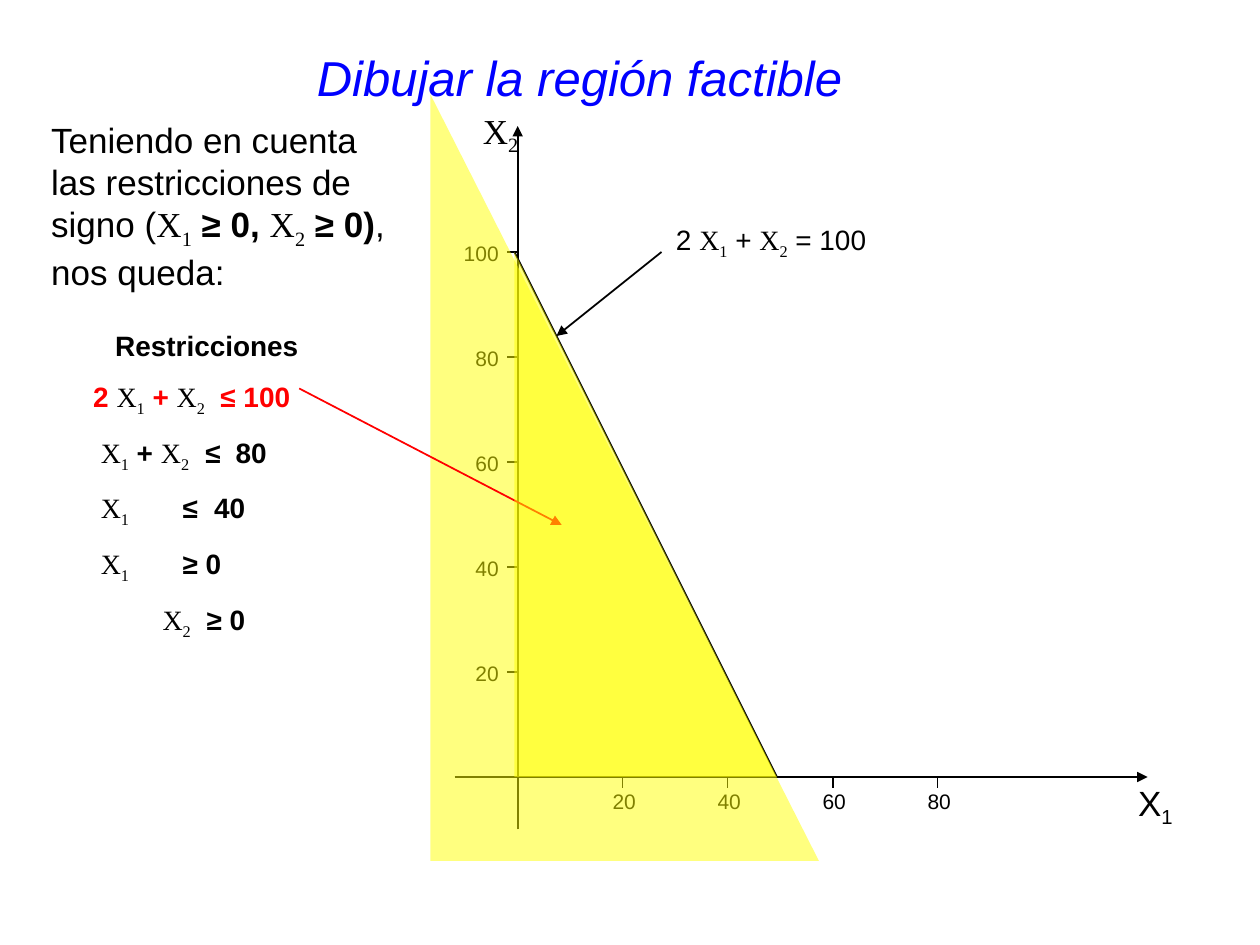
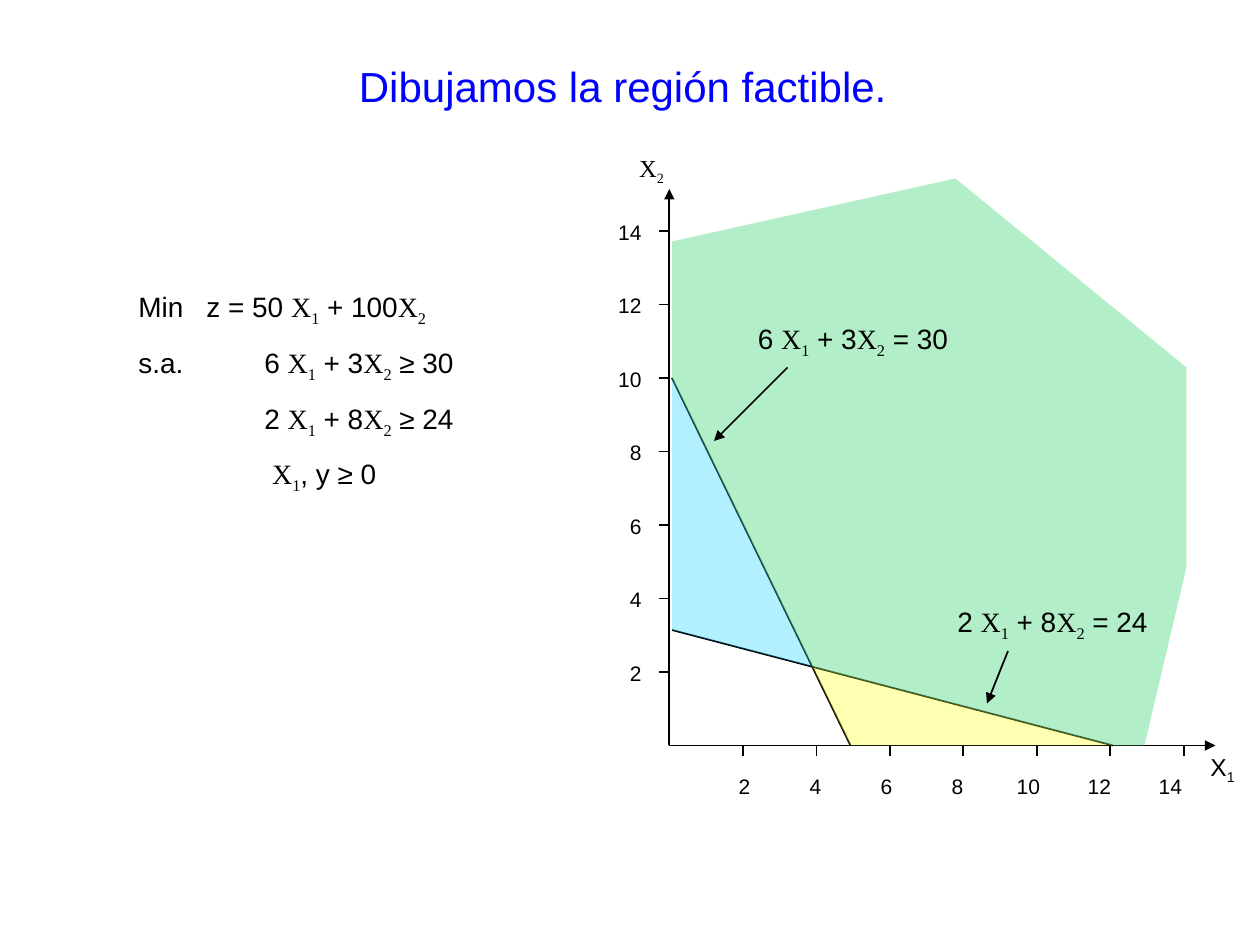
from dataclasses import dataclass

from lxml.etree import SubElement
from pptx import Presentation
from pptx.dml.color import RGBColor
from pptx.enum.shapes import MSO_CONNECTOR, MSO_SHAPE
from pptx.enum.text import MSO_ANCHOR as Anchor, PP_ALIGN as Align
from pptx.oxml.ns import qn
from pptx.util import Inches, Pt


@dataclass(frozen=True)
class Theme:
    text: str = "000000"
    title: str = "0000FF"
    accent: str = "FF0000"
    yellow: str = "FFFF00"
    cyan: str = "00CCFF"
    font: str = "Arial"
    variable_font: str = "Times New Roman"
    title_size: int = 28
    subtitle_size: int = 24
    body_size: int = 20
    formula_size: int = 16
    axis_name_size: int = 14
    tick_size: int = 12
    line_width: int = 1
    paragraph_gap: int = 10


THEME = Theme()
WIDTH, HEIGHT = Inches(10), Inches(7.5)
COLUMNS, ROWS = 120, 90


def across(columns):
    return round(WIDTH * columns / COLUMNS)


def down(rows):
    return round(HEIGHT * rows / ROWS)


def add_run(paragraph, text, size, color, font, bold=False, subscript=False):
    if not text:
        return
    run = paragraph.add_run()
    run.text = text
    run.font.size = Pt(size)
    run.font.name = font
    run.font.bold = bold
    run.font.color.rgb = RGBColor.from_string(color)
    if subscript:
        run.font._element.set("baseline", "-25000")


def write_formula(paragraph, formula, size, color, variable_font=THEME.variable_font):
    for index, segment in enumerate(formula.split("*")):
        bold = index % 2 == 1
        plain, *variables = segment.split("X")
        add_run(paragraph, plain, size, color, THEME.font, bold)
        for variable in variables:
            add_run(paragraph, "X", size, THEME.text, variable_font)
            add_run(paragraph, variable[0], size, THEME.text, variable_font, subscript=True)
            add_run(paragraph, variable[1:], size, color, THEME.font, bold)


def add_box(slide, left, top, width, height):
    shape = slide.shapes.add_textbox(across(left), down(top), across(width), down(height))
    shape.text_frame.word_wrap = True
    return shape.text_frame


def add_text(slide, box, formula, size, color=THEME.text, variable_font=THEME.variable_font):
    paragraph = add_box(slide, *box).paragraphs[0]
    write_formula(paragraph, formula, size, color, variable_font)
    return paragraph


def set_tabs(paragraph, stops):
    tab_list = SubElement(paragraph._p.get_or_add_pPr(), qn("a:tabLst"))
    for stop in stops:
        SubElement(tab_list, qn("a:tab"), pos=str(Inches(stop)), algn="l")


def add_formula_list(slide, box, lines):
    text_frame = add_box(slide, *box)
    for index, (formula, stops, color) in enumerate(lines):
        paragraph = text_frame.add_paragraph() if index else text_frame.paragraphs[0]
        if index:
            paragraph.space_before = Pt(THEME.paragraph_gap)
        if stops:
            set_tabs(paragraph, stops)
        write_formula(paragraph, formula, THEME.formula_size, color)
    return text_frame


def add_line(slide, start, end, color=THEME.text, arrow=False):
    line = slide.shapes.add_connector(
        MSO_CONNECTOR.STRAIGHT, across(start[0]), down(start[1]), across(end[0]), down(end[1]))
    line.line.width = Pt(THEME.line_width)
    line.line.color.rgb = RGBColor.from_string(color)
    if arrow:
        SubElement(line.line._get_or_add_ln(), qn("a:tailEnd"), type="triangle")
    SubElement(line._element.spPr, qn("a:effectLst"))


def fill_region(shape, color, opacity):
    shape.shadow.inherit = False
    shape.line.fill.background()
    shape.fill.solid()
    shape.fill.fore_color.rgb = RGBColor.from_string(color)
    solid_color = shape._element.spPr.find(qn("a:solidFill"))[0]
    SubElement(solid_color, qn("a:alpha"), val=str(opacity * 1000))


def add_triangle(slide, left, top, width, height):
    triangle = slide.shapes.add_shape(
        MSO_SHAPE.ISOSCELES_TRIANGLE, across(left), down(top), across(width), down(height))
    triangle.adjustments[0] = 0
    fill_region(triangle, THEME.yellow, 50)


def add_polygon(slide, points, color):
    start, *others = [(across(x), down(y)) for x, y in points]
    builder = slide.shapes.build_freeform(*start)
    builder.add_line_segments(others, close=True)
    fill_region(builder.convert_to_shape(), color, 30)


def add_tick_label(slide, left, middle, value, alignment):
    text_frame = add_box(slide, left, middle - 2, 6, 4)
    text_frame.margin_left = text_frame.margin_right = 0
    text_frame.margin_top = text_frame.margin_bottom = 0
    text_frame.vertical_anchor = Anchor.MIDDLE
    paragraph = text_frame.paragraphs[0]
    paragraph.alignment = alignment
    write_formula(paragraph, str(value), THEME.tick_size, THEME.text)


def add_horizontal_axis(slide, origin, start, end, pitch, values, label_pitch, label_drop):
    x, y = origin
    add_line(slide, (start, y), (end, y), arrow=True)
    for step, value in enumerate(values, 1):
        tick = x + step * pitch
        add_line(slide, (tick, y), (tick, y + 1))
        center = x + pitch + (step - 1) * label_pitch
        add_tick_label(slide, center - 2.85, y + label_drop, value, Align.CENTER)


def add_vertical_axis(slide, origin, start, end, pitch, values, label_gap):
    x, y = origin
    add_line(slide, (x, start), (x, end), arrow=True)
    for step, value in enumerate(values, 1):
        tick = y - step * pitch
        add_line(slide, (x, tick), (x - 1, tick))
        add_tick_label(slide, x - label_gap - 6, tick + 0.1, value, Align.RIGHT)


def build_sign_slide(slide):
    origin = (49.3, 74)
    add_vertical_axis(slide, origin, 79, 12, 10, range(20, 101, 20), 1.8)
    add_horizontal_axis(slide, origin, 43.3, 109.3, 10, range(20, 81, 20), 10, 2.3)
    add_text(slide, (44.8, 9.8, 8, 5.8), "X2", THEME.body_size)
    add_text(slide, (107.2, 73.8, 8, 5.8), "X1", THEME.body_size, variable_font=THEME.font)
    add_line(slide, (74, 74), (49, 24))
    add_triangle(slide, 41, 9, 37, 73)
    add_text(slide, (63.2, 20.6, 22, 5), "2 X1 + X2 = 100", THEME.formula_size)
    add_line(slide, (63, 24), (53, 32), arrow=True)

    restrictions = add_formula_list(slide, (7.7, 30.7, 24, 31), [
        ("*Restricciones*", (), THEME.text),
        ("*2 X1 + X2\t≤ 100*", (1.01,), THEME.accent),
        ("*\tX1 + X2\t≤\t80*", (0.06, 0.89, 1.13), THEME.text),
        ("*\tX1\t≤\t40*", (0.06, 0.71, 0.96), THEME.text),
        ("*\tX1\t≥ 0*", (0.06, 0.71), THEME.text),
        ("*\tX2\t≥ 0*", (0.55, 0.9), THEME.text),
    ])
    restrictions.paragraphs[0].alignment = Align.CENTER
    add_line(slide, (28.5, 37), (53.5, 50), THEME.accent, arrow=True)
    title = add_text(slide, (29, 3.9, 56, 8), "Dibujar la región factible",
                     THEME.title_size, THEME.title)
    title.runs[0].font.italic = True
    add_triangle(slide, 49, 24, 25, 50)
    add_text(slide, (3.7, 10.7, 34.8, 17.8),
             "Teniendo en cuenta las restricciones de signo (*X1 ≥ 0, X2 ≥ 0)*, nos queda:",
             THEME.body_size)


def build_minimum_slide(slide):
    origin = (63.75, 71)
    first_line = [(81, 71), (64, 36)]
    second_line = [(106, 71), (64, 60)]
    outer_edge = [(64, 23), (91, 17), (113, 35), (113, 54), (109, 71)]
    for end, start in (first_line, second_line):
        add_line(slide, start, end)
    add_vertical_axis(slide, origin, 71, 18, 7, range(2, 15, 2), 2.65)
    add_horizontal_axis(slide, origin, 63.75, 115.75, 7, range(2, 15, 2), 6.76, 3.9)
    add_text(slide, (114.1, 71, 5.8, 4.4), "X1", THEME.axis_name_size, variable_font=THEME.font)
    add_text(slide, (59.7, 14, 6, 4.4), "X2", THEME.axis_name_size)
    add_formula_list(slide, (12, 27, 45.7, 20.8), [
        ("Min\tz = 50 X1 + 100X2", (0.54,), THEME.text),
        ("s.a.\t6 X1 + 3X2 ≥ 30", (1,), THEME.text),
        ("\t2 X1 + 8X2 ≥ 24", (1,), THEME.text),
        ("\t X1, y ≥ 0", (1,), THEME.text),
    ])
    add_polygon(slide, first_line + outer_edge, THEME.yellow)
    add_polygon(slide, second_line + outer_edge, THEME.cyan)
    add_text(slide, (71, 30, 25, 5), "6 X1 + 3X2 = 30", THEME.formula_size)
    add_text(slide, (90, 57, 25, 5), "2 X1 + 8X2 = 24", THEME.formula_size)
    add_line(slide, (75, 35), (68, 42), arrow=True)
    add_line(slide, (96, 62), (94, 67), arrow=True)
    add_text(slide, (33, 5.2, 58, 6), "Dibujamos la región factible.",
             THEME.subtitle_size, THEME.title)


def main():
    presentation = Presentation()
    presentation.slide_width, presentation.slide_height = WIDTH, HEIGHT
    blank_layout = presentation.slide_layouts[6]
    for build in (build_sign_slide, build_minimum_slide):
        build(presentation.slides.add_slide(blank_layout))
    presentation.save("out.pptx")


if __name__ == "__main__":
    main()
